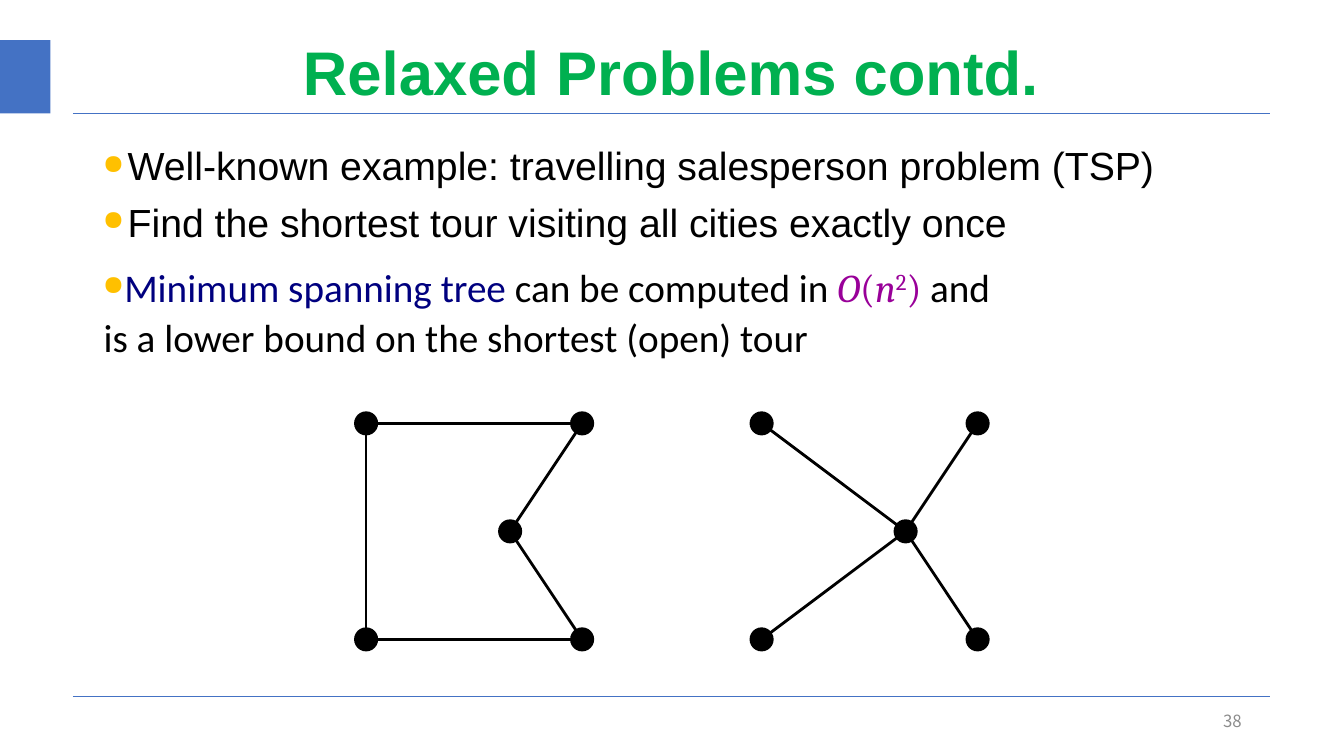
"""Build the slide on relaxed problems, with a tour and a tree over five cities."""
from dataclasses import dataclass

from lxml import etree
from pptx import Presentation, util as u
from pptx.dml.color import RGBColor
from pptx.enum import shapes, text
from pptx.oxml.ns import qn

BLUE, BLACK, PURPLE = "4472C4", "000000", "990099"
CITIES = {"nw": (0, 0), "ne": (1, 0), "mid": (2 / 3, 0.5), "sw": (0, 1), "se": (1, 1)}
SIDE, CITY_SIZE, GRAPH_TOP = 154.3, 17.2, 302.4


@dataclass
class Run:
    text: str
    font: str = "Arial"
    color: str = BLACK
    italic: bool = False
    raised: bool = False
    new_line: bool = False


@dataclass
class Bullet:
    runs: list[Run]
    indent: float = 18
    spacing: float = 0.9
    before: float = 10
    after: float = 0


@dataclass
class Graph:
    left: float
    edges: list[tuple[str, str]]


BULLETS = [
    Bullet([Run("Well-known example: travelling salesperson problem (TSP)")], before=0),
    Bullet([Run("Find the shortest tour visiting all cities exactly once")]),
    Bullet([
        Run("Minimum spanning tree ", "Calibri", "00007F"),
        Run("can be computed in ", "Calibri"),
        Run("O", "Cambria", PURPLE, italic=True),
        Run("(", "Cambria", PURPLE),
        Run("n", "Cambria", PURPLE, italic=True),
        Run("2", "Cambria", PURPLE, raised=True),
        Run(") ", "Cambria", PURPLE),
        Run("and", "Calibri"),
        Run("is a lower bound on the shortest (open) tour", "Calibri", new_line=True),
    ], indent=0.75, spacing=1.07, after=0.2),
]

GRAPHS = [
    Graph(261.5, [("nw", "ne"), ("sw", "se"), ("se", "mid"), ("sw", "nw"), ("ne", "mid")]),
    Graph(544, [("se", "mid"), ("ne", "mid"), ("nw", "mid"), ("sw", "mid")]),
]


def rgb(color: str) -> RGBColor:
    """Turn a hex string into a colour."""
    return RGBColor.from_string(color)


def add_run(p, words: str, *, size: float, font: str, color: str,
            bold: bool = False, italic: bool = False, raised: bool = False) -> None:
    """Add formatted text to a paragraph."""
    r = p.add_run()
    r.text = words
    f = r.font
    f.size, f.name, f.bold, f.italic = u.Pt(size), font, bold, italic
    f.color.rgb = rgb(color)
    if raised:
        r._r.get_or_add_rPr().set("baseline", "30000")


def add_line(s, x1: float, y1: float, x2: float, y2: float,
             color: str, width: float) -> None:
    """Draw a straight line without a shadow."""
    line = s.shapes.add_connector(shapes.MSO_CONNECTOR.STRAIGHT,
                                  u.Pt(x1), u.Pt(y1), u.Pt(x2), u.Pt(y2))
    line.line.color.rgb = rgb(color)
    line.line.width = u.Pt(width)
    etree.SubElement(line._element.spPr, qn("a:effectLst"))


def add_solid(s, kind, left: float, top: float, width: float, height: float,
              color: str) -> None:
    """Draw a filled shape without an outline."""
    sp = s.shapes.add_shape(kind, u.Pt(left), u.Pt(top), u.Pt(width), u.Pt(height))
    sp.shadow.inherit = False
    sp.fill.solid()
    sp.fill.fore_color.rgb = rgb(color)
    sp.line.fill.background()


def add_text_box(s, left: float, top: float, width: float, height: float):
    """Add a wrapping text box and return its text frame."""
    tf = s.shapes.add_textbox(u.Pt(left), u.Pt(top), u.Pt(width), u.Pt(height)).text_frame
    tf.word_wrap = True
    return tf


def add_bullet(p, bullet: Bullet) -> None:
    """Fill a paragraph with a bullet point."""
    pPr = p._p.get_or_add_pPr()
    pPr.set("marL", str(u.Pt(bullet.indent)))
    pPr.set("indent", str(-u.Pt(bullet.indent)))
    tint = etree.SubElement(pPr, qn("a:buClr"))
    etree.SubElement(tint, qn("a:srgbClr"), val="FFC000")
    etree.SubElement(pPr, qn("a:buSzPct"), val="70000")
    etree.SubElement(pPr, qn("a:buChar"), char="●")
    p.line_spacing = bullet.spacing
    p.space_before, p.space_after = u.Pt(bullet.before), u.Pt(bullet.after)
    for run in bullet.runs:
        if run.new_line:
            p.add_line_break()
        add_run(p, run.text, size=28, font=run.font, color=run.color,
                italic=run.italic, raised=run.raised)


def add_graph(s, graph: Graph) -> None:
    """Draw the five cities and the edges between them."""
    centres = {name: (graph.left + SIDE * x, GRAPH_TOP + SIDE * y)
               for name, (x, y) in CITIES.items()}
    for x, y in centres.values():
        add_solid(s, shapes.MSO_SHAPE.OVAL, x - CITY_SIZE / 2, y - CITY_SIZE / 2,
                  CITY_SIZE, CITY_SIZE, BLACK)
    for start, end in graph.edges:
        add_line(s, *centres[start], *centres[end], BLACK, 0)


def main() -> None:
    """Build and save the slide."""
    prs = Presentation()
    prs.slide_width, prs.slide_height = u.Pt(960), u.Pt(540)
    s = prs.slides.add_slide(prs.slide_layouts[5])

    for y in (497.5, 80.8):
        add_line(s, 52, y, 907, y, BLUE, 0.5)
    add_solid(s, shapes.MSO_SHAPE.RECTANGLE, 0, 28.6, 36, 52.4, BLUE)

    title = s.shapes.title
    title.left, title.top, title.width, title.height = (
        u.Pt(v) for v in (65.5, 23.6, 828, 61.2))
    tf = title.text_frame
    tf.auto_size = text.MSO_AUTO_SIZE.NONE
    tf.vertical_anchor = text.MSO_ANCHOR.MIDDLE
    p = tf.paragraphs[0]
    p.alignment, p.line_spacing = text.PP_ALIGN.CENTER, 0.9
    add_run(p, "Relaxed Problems contd.", size=44, font="Arial", color="00B050", bold=True)

    tf = add_text_box(s, 66.2, 101.5, 828, 168.5)
    for i, bullet in enumerate(BULLETS):
        add_bullet(tf.add_paragraph() if i else tf.paragraphs[0], bullet)

    for graph in GRAPHS:
        add_graph(s, graph)

    tf = add_text_box(s, 678, 500.5, 216, 28.8)
    tf.vertical_anchor = text.MSO_ANCHOR.MIDDLE
    p = tf.paragraphs[0]
    p.alignment = text.PP_ALIGN.RIGHT
    add_run(p, "38", size=12, font="Noto Sans CJK SC", color="8C8C8C")

    prs.save("out.pptx")


if __name__ == "__main__":
    main()
